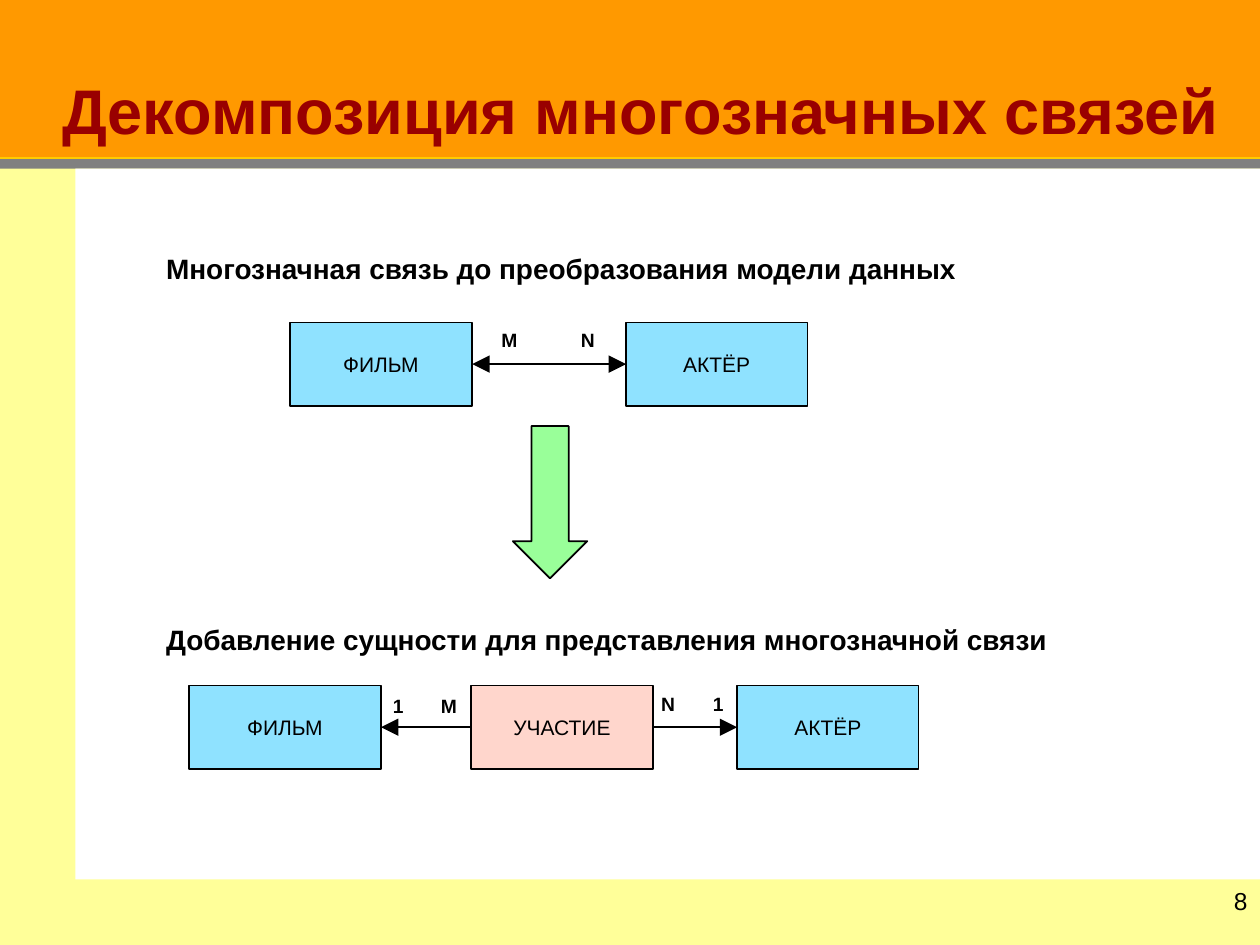
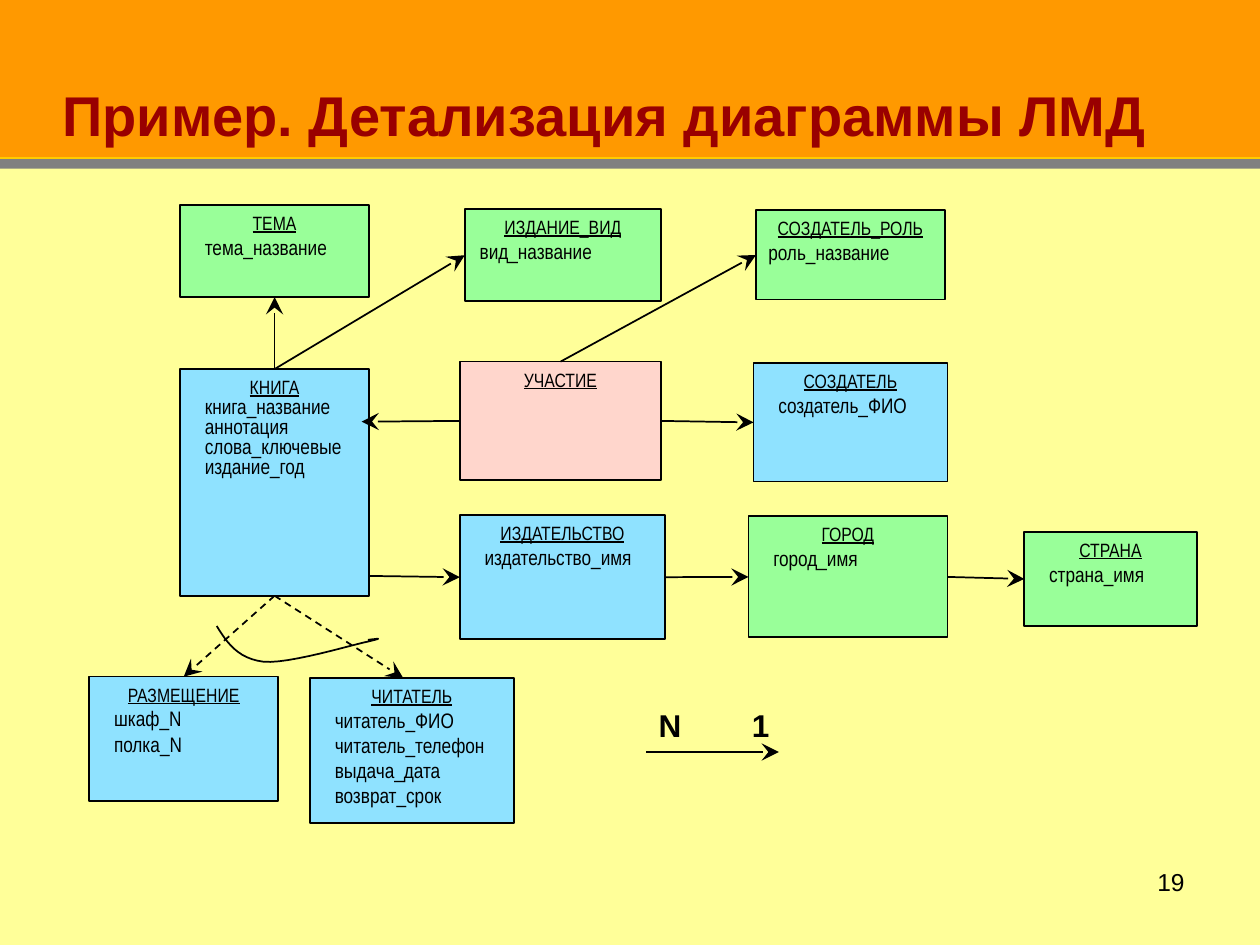
import lxml.etree
import pptx
import pptx.dml.color
import pptx.enum.dml
import pptx.enum.shapes
import pptx.enum.text
import pptx.oxml.ns
import pptx.util

Cm = pptx.util.Cm
Pt = pptx.util.Pt
RGBColor = pptx.dml.color.RGBColor
SHAPE = pptx.enum.shapes.MSO_SHAPE
ANCHOR = pptx.enum.text.MSO_ANCHOR
ALIGN = pptx.enum.text.PP_ALIGN

ORANGE = RGBColor(0xFF, 0x99, 0x00)
GOLD = RGBColor(0xFF, 0xCC, 0x00)
YELLOW = RGBColor(0xFF, 0xFF, 0x99)
GRAY = RGBColor(0x80, 0x80, 0x80)
SILVER = RGBColor(0xB2, 0xB2, 0xB2)
DARK_RED = RGBColor(0x99, 0x00, 0x00)
BLACK = RGBColor(0x00, 0x00, 0x00)
WHITE = RGBColor(0xFF, 0xFF, 0xFF)
BLUE = RGBColor(0x8F, 0xE2, 0xFF)
PINK = RGBColor(0xFF, 0xD6, 0xCC)
GREEN = RGBColor(0x99, 0xFF, 0x99)

SLIDE_WIDTH, SLIDE_HEIGHT = 25.4, 19.05
BAND_BOTTOM = 3.18
TOP, LEFT, BOTTOM, RIGHT = range(4)  # connection sites of a rectangle

# All places are in centimetres: left, top, width, height.
DECOMPOSITION = {
    "title": ("Декомпозиция многозначных связей", 36),
    "number": ("8", (24.18, 17.73, 1.22, 1.32)),
    "panel": (1.52, 3.4, 23.88, 14.33),
    "arrow": (10.34, 8.59, 1.5, 3.07),
    "captions": [
        ("Многозначная связь до преобразования модели данных", 4.95),
        ("Добавление сущности для представления многозначной связи", 12.42),
    ],
    "rows": [
        {
            "top": 6.5,
            "entities": [("ФИЛЬМ", BLUE, 5.84, 3.68), ("АКТЁР", BLUE, 12.62, 3.66)],
            "links": [("ФИЛЬМ", RIGHT, "АКТЁР", LEFT, True)],
        },
        {
            "top": 13.82,
            "entities": [("ФИЛЬМ", BLUE, 3.81, 3.87), ("УЧАСТИЕ", PINK, 9.5, 3.66),
                         ("АКТЁР", BLUE, 14.86, 3.66)],
            "links": [("УЧАСТИЕ", LEFT, "ФИЛЬМ", RIGHT, False),
                      ("УЧАСТИЕ", RIGHT, "АКТЁР", LEFT, False)],
        },
    ],
    # two marks, left and top of the first, distance to the second
    "multiplicities": [
        ("MN", 9.86, 6.5, 1.6),
        ("1M", 7.67, 13.87, 0.97),
        ("N1", 13.08, 13.84, 1.04),
    ],
}

DETAILED_MODEL = {
    "title": ("Пример. Детализация диаграммы ЛМД", 32),
    "number": ("19", (18.21, 17.35, 5.92, 1.32)),
    # name, fill, place, attributes, attribute indent, line spacing
    "entities": [
        ("ТЕМА", GREEN, (3.63, 4.14, 3.81, 1.85), ["тема_название"], 0.25, 1),
        ("ИЗДАНИЕ_ВИД", GREEN, (9.37, 4.22, 3.96, 1.85), ["вид_название"], 0.05, 1),
        ("СОЗДАТЕЛЬ_РОЛЬ", GREEN, (15.24, 4.24, 3.81, 1.8), ["роль_название"], 0, 1),
        ("КНИГА", BLUE, (3.63, 7.44, 3.81, 4.57),
         ["книга_название", "аннотация", "слова_ключевые", "издание_год"], 0.25, 0.8),
        ("УЧАСТИЕ", PINK, (9.27, 7.29, 4.06, 2.39), [], 0, 1),
        ("СОЗДАТЕЛЬ", BLUE, (15.19, 7.32, 3.91, 2.39), ["создатель_ФИО"], 0.25, 1),
        ("ИЗДАТЕЛЬСТВО", BLUE, (9.27, 10.39, 4.14, 2.49), ["издательство_имя"], 0.25, 1),
        ("ГОРОД", GREEN, (15.09, 10.41, 4.01, 2.44), ["город_имя"], 0.25, 1),
        ("СТРАНА", GREEN, (20.65, 10.72, 3.48, 1.9), ["страна_имя"], 0.25, 1),
        ("РАЗМЕЩЕНИЕ", BLUE, (1.8, 13.64, 3.81, 2.51), ["шкаф_N", "полка_N"], 0.25, 1),
        ("ЧИТАТЕЛЬ", BLUE, (6.25, 13.67, 4.11, 2.92),
         ["читатель_ФИО", "читатель_телефон", "выдача_дата", "возврат_срок"], 0.25, 1),
    ],
    # each end is an entity with a side, or a point; then whether dashed
    "links": [
        (("КНИГА", TOP), ("ТЕМА", BOTTOM), False),
        (("КНИГА", TOP), ("ИЗДАНИЕ_ВИД", LEFT), False),
        (("УЧАСТИЕ", TOP), ("СОЗДАТЕЛЬ_РОЛЬ", LEFT), False),
        (("УЧАСТИЕ", LEFT), (7.29, 8.5), False),
        (("УЧАСТИЕ", RIGHT), ("СОЗДАТЕЛЬ", LEFT), False),
        ((7.44, 11.61), ("ИЗДАТЕЛЬСТВО", LEFT), False),
        (("ИЗДАТЕЛЬСТВО", RIGHT), ("ГОРОД", LEFT), False),
        (("ГОРОД", RIGHT), ("СТРАНА", LEFT), False),
        (("КНИГА", BOTTOM), ("РАЗМЕЩЕНИЕ", TOP), True),
        (("КНИГА", BOTTOM), (8.13, 13.67), True),
    ],
    "choice_arc": [
        [(4.37, 12.62), (4.57, 12.95), (4.8, 13.28), (5.31, 13.34)],
        [(5.31, 13.34), (5.82, 13.39), (7.09, 13), (7.44, 12.93)],
        [(7.44, 12.93), (7.77, 12.85), (7.59, 12.88), (7.42, 12.9)],
    ],
    "legend": ("N1", 13.03, 14.1, 1.88),
    "legend_arrow": ((13.03, 15.16), (15.7, 15.16)),
}


def lengths(values):
    return [Cm(value) for value in values]


def format_paragraph(paragraph, size, font="Arial", color=BLACK, bold=False,
                     underline=False, align=ALIGN.LEFT, indent=0, spacing=1):
    paragraph.font.name = font
    paragraph.font.size = Pt(size)
    paragraph.font.bold = bold
    paragraph.font.underline = underline
    paragraph.font.color.rgb = color
    paragraph.alignment = align
    paragraph.line_spacing = spacing
    properties = paragraph._p.get_or_add_pPr()
    properties.set("marL", str(Cm(indent)))
    properties.set("indent", "0")


def add_box(slide, place, fill, outlined=True, kind=SHAPE.RECTANGLE):
    shape = slide.shapes.add_shape(kind, *lengths(place))
    shape.shadow.inherit = False
    shape.fill.solid()
    shape.fill.fore_color.rgb = fill
    if outlined:
        shape.line.color.rgb = BLACK
        shape.line.width = Pt(1)
    else:
        shape.line.fill.background()
    return shape


def add_text(slide, text, place, size, **style):
    frame = slide.shapes.add_textbox(*lengths(place)).text_frame
    frame.word_wrap = True
    paragraph = frame.paragraphs[0]
    paragraph.text = text
    format_paragraph(paragraph, size, **style)


def add_multiplicity(slide, marks, left, top, distance, size):
    """Write each mark in its own box, the given distance apart."""
    for index, mark in enumerate(marks):
        add_text(slide, mark, (left + index * distance, top, 0.07 * size + 0.2, 0.06 * size),
                 size, bold=True)


def add_line(slide, start, end, boxes=None, color=BLACK, head=None, tail=None, dashed=False):
    """Draw a line; an end is a point or (entity name, side) found in boxes."""
    points = [(0, 0) if isinstance(stop[0], str) else stop for stop in (start, end)]
    connector = slide.shapes.add_connector(
        pptx.enum.shapes.MSO_CONNECTOR.STRAIGHT, *lengths(points[0] + points[1]))
    for stop, connect in ((start, connector.begin_connect), (end, connector.end_connect)):
        if isinstance(stop[0], str):
            connect(boxes[stop[0]], stop[1])
    connector.line.color.rgb = color
    connector.line.width = Pt(1)
    if dashed:
        connector.line.dash_style = pptx.enum.dml.MSO_LINE.DASH
    qn = pptx.oxml.ns.qn
    outline = connector.line._get_or_add_ln()
    for tag, arrowhead in (("a:headEnd", head), ("a:tailEnd", tail)):
        if arrowhead:
            lxml.etree.SubElement(outline, qn(tag), type=arrowhead, w="lg", len="lg")
    lxml.etree.SubElement(connector._element.spPr, qn("a:effectLst"))


def add_framed_slide(presentation, content):
    """Add a slide with its bands, title and number."""
    slide = presentation.slides.add_slide(presentation.slide_layouts[5])
    slide.background.fill.solid()
    slide.background.fill.fore_color.rgb = SILVER
    for top, height, color in ((0, BAND_BOTTOM, ORANGE),
                               (BAND_BOTTOM, SLIDE_HEIGHT - BAND_BOTTOM, YELLOW),
                               (3.2, 0.2, GRAY)):
        add_box(slide, (0, top, SLIDE_WIDTH, height), color, outlined=False)
    add_line(slide, (0, BAND_BOTTOM), (SLIDE_WIDTH, BAND_BOTTOM), color=GOLD)

    text, size = content["title"]
    title = slide.shapes.title
    title.left, title.top, title.width, title.height = lengths((0, 0.15, SLIDE_WIDTH, 2.97))
    title.fill.solid()
    title.fill.fore_color.rgb = ORANGE
    title.text_frame.text = text
    title.text_frame.auto_size = pptx.enum.text.MSO_AUTO_SIZE.NONE
    title.text_frame.vertical_anchor = ANCHOR.BOTTOM
    format_paragraph(title.text_frame.paragraphs[0], size, color=DARK_RED, bold=True,
                     indent=1, spacing=0.9)
    slide.shapes.element.append(title.element)  # bring in front of the bands

    number, place = content["number"]
    add_text(slide, number, place, 14, align=ALIGN.RIGHT)
    return slide


def build_decomposition(presentation, content):
    slide = add_framed_slide(presentation, content)
    add_box(slide, content["panel"], WHITE, outlined=False)
    for row in content["rows"]:
        boxes = {}
        for name, fill, left, width in row["entities"]:
            box = boxes[name] = add_box(slide, (left, row["top"], width, 1.68), fill)
            box.text_frame.text = name
            box.text_frame.vertical_anchor = ANCHOR.MIDDLE
            format_paragraph(box.text_frame.paragraphs[0], 12, align=ALIGN.CENTER)
        for source, source_side, target, target_side, two_way in row["links"]:
            add_line(slide, (source, source_side), (target, target_side), boxes,
                     head="triangle" if two_way else None, tail="triangle")
    for caption, top in content["captions"]:
        add_text(slide, caption, (2.59, top, 20.45, 0.94), 16, bold=True, indent=0.51)
    add_box(slide, content["arrow"], GREEN, kind=SHAPE.DOWN_ARROW)
    for multiplicity in content["multiplicities"]:
        add_multiplicity(slide, *multiplicity, size=11)


def add_entity(slide, name, fill, place, attributes, indent, spacing):
    box = add_box(slide, place, fill)
    frame = box.text_frame
    frame.vertical_anchor = ANCHOR.TOP
    frame.text = "\n".join([name] + attributes)
    heading, *details = frame.paragraphs
    format_paragraph(heading, 11, "Arial Narrow", underline=True, align=ALIGN.CENTER)
    for paragraph in details:
        format_paragraph(paragraph, 12, "Arial Narrow", indent=indent, spacing=spacing)
    return box


def bezier_points(controls, steps=12):
    """Points along a cubic curve, without its start."""
    for step in range(1, steps + 1):
        t = step / steps
        weights = ((1 - t) ** 3, 3 * t * (1 - t) ** 2, 3 * t * t * (1 - t), t ** 3)
        yield tuple(Cm(sum(weight * point[axis] for weight, point in zip(weights, controls)))
                    for axis in (0, 1))


def add_arc(slide, curves):
    builder = slide.shapes.build_freeform(*lengths(curves[0][0]))
    builder.add_line_segments(
        [point for curve in curves for point in bezier_points(curve)], close=False)
    arc = builder.convert_to_shape()
    arc.shadow.inherit = False
    arc.fill.background()
    arc.line.color.rgb = BLACK
    arc.line.width = Pt(1)


def build_detailed_model(presentation, content):
    slide = add_framed_slide(presentation, content)
    boxes = {entity[0]: add_entity(slide, *entity) for entity in content["entities"]}
    for start, end, dashed in content["links"]:
        add_line(slide, start, end, boxes, tail="stealth", dashed=dashed)
    add_arc(slide, content["choice_arc"])
    add_line(slide, *content["legend_arrow"], tail="stealth")
    add_multiplicity(slide, *content["legend"], size=18)


def main():
    presentation = pptx.Presentation()
    presentation.slide_width = Cm(SLIDE_WIDTH)
    presentation.slide_height = Cm(SLIDE_HEIGHT)
    build_decomposition(presentation, DECOMPOSITION)
    build_detailed_model(presentation, DETAILED_MODEL)
    presentation.save("out.pptx")


if __name__ == "__main__":
    main()
